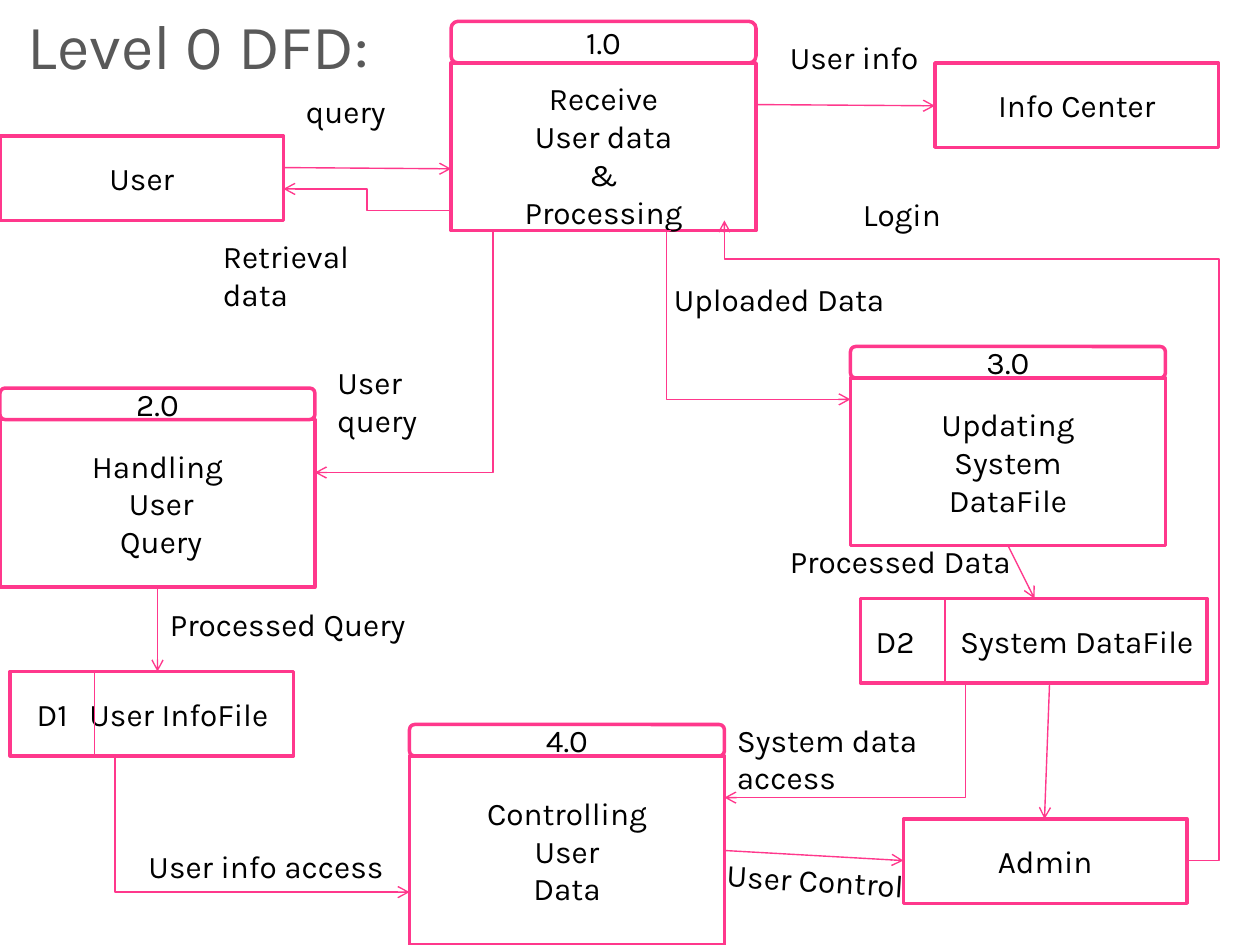
from lxml import etree
from pptx import Presentation
from pptx.dml.color import RGBColor
from pptx.enum.shapes import MSO_CONNECTOR as Link, MSO_SHAPE as Preset
from pptx.enum.text import MSO_ANCHOR as Anchor, MSO_AUTO_SIZE as AutoSize, PP_ALIGN as Align
from pptx.oxml.ns import qn
from pptx.util import Inches, Pt

PINK, WHITE, BLACK, GREY = "FF388C", "FFFFFF", "000000", "595959"
FONT = "Karla"
HALF = (0.5,)


def color(value):
    return RGBColor.from_string(value)


def write(shape, text, size=18, ink=BLACK, align=Align.LEFT, anchor=Anchor.TOP,
          insets=(0.1, 0.05, 0.1, 0.05)):
    """Fill a shape with text, one paragraph per line."""
    frame = shape.text_frame
    frame.auto_size = AutoSize.NONE
    frame.word_wrap = True
    frame.vertical_anchor = anchor
    (frame.margin_left, frame.margin_top,
     frame.margin_right, frame.margin_bottom) = map(Inches, insets)
    frame.text = text
    for paragraph in frame.paragraphs:
        paragraph.alignment = align
        for run in paragraph.runs:
            run.font.name = FONT
            run.font.size = Pt(size)
            run.font.bold = False
            run.font.color.rgb = color(ink)


def box(slide, place, text, preset=Preset.RECTANGLE, align=Align.CENTER,
        insets=(0.1, 0, 0.1, 0)):
    outlined = slide.shapes.add_shape(preset, *map(Inches, place))
    outlined.shadow.inherit = False
    outlined.fill.solid()
    outlined.fill.fore_color.rgb = color(WHITE)
    outlined.line.color.rgb = color(PINK)
    outlined.line.width = Pt(2)
    write(outlined, text, align=align, anchor=Anchor.MIDDLE, insets=insets)
    return outlined


def process(slide, number, text, left, top, width, header, body, text_top=0):
    """A process is a body under a rounded header with its number."""
    box(slide, (left, top + header, width, body), text, insets=(0.1, text_top, 0.1, 0))
    box(slide, (left, top, width, header), number, Preset.ROUNDED_RECTANGLE)


def flow(slide, start, end, bends=(), arrow=True):
    """A straight line, or an elbow whose bends are fractions of its extent."""
    kind = Link.ELBOW if bends else Link.STRAIGHT
    line = slide.shapes.add_connector(kind, *map(Inches, start + end))
    line.line.color.rgb = color(PINK)
    line.line.width = Pt(0.79)
    properties = line._element.spPr
    if bends:
        geometry = properties.find(qn("a:prstGeom"))
        geometry.set("prst", f"bentConnector{len(bends) + 2}")
        guides = geometry.find(qn("a:avLst"))
        if guides is None:
            guides = etree.SubElement(geometry, qn("a:avLst"))
        for index, bend in enumerate(bends, 1):
            etree.SubElement(guides, qn("a:gd"), name=f"adj{index}",
                             fmla=f"val {round(bend * 100000)}")
    if arrow:
        etree.SubElement(properties.find(qn("a:ln")), qn("a:tailEnd"), type="arrow")
    etree.SubElement(properties, qn("a:effectLst"))


def data_store(slide, place, code, name, divider, code_inset, name_tab):
    """A data store holds its code left of a divider and its name at a tab stop."""
    left, top, width, height = place
    store = box(slide, place, f"{code}\t{name}", align=Align.LEFT,
                insets=(code_inset, 0, 0, 0))
    settings = store.text_frame.paragraphs[0]._p.get_or_add_pPr()
    stops = etree.SubElement(settings, qn("a:tabLst"))
    etree.SubElement(stops, qn("a:tab"), pos=str(Inches(name_tab)), algn="l")
    flow(slide, (divider, top), (divider, top + height), arrow=False)


def label(slide, text, left, top, width, height=0.4, rotation=0):
    caption = slide.shapes.add_textbox(*map(Inches, (left, top, width, height)))
    caption.rotation = rotation
    write(caption, text)


def main():
    deck = Presentation()
    deck.slide_width, deck.slide_height = Inches(10), Inches(7.5)
    slide = deck.slides.add_slide(deck.slide_layouts[5])

    # Title
    title = slide.shapes.title
    title.left, title.top, title.width, title.height = map(Inches, (0, 0, 3.33, 0.71))
    write(title, "Level 0 DFD:", size=36, ink=GREY, insets=(0.22, 0.05, 0.1, 0.05))

    # Processes
    process(slide, "1.0", "Receive\nUser data\n&\nProcessing",
            3.58, 0.17, 2.42, 0.33, 1.33, text_top=0.13)
    for number, text, left, top, body in (
            ("2.0", "Handling\n User\n Query", 0, 3.08, 1.33),
            ("3.0", "Updating\nSystem\nDataFile", 6.75, 2.75, 1.33),
            ("4.0", "Controlling\nUser\nData", 3.25, 5.75, 1.5)):
        process(slide, number, text, left, top, 2.5, 0.25, body)

    # External entities
    for name, left, top in (("User", 0, 1.08), ("Admin", 7.17, 6.5),
                            ("Info Center", 7.42, 0.5)):
        box(slide, (left, top, 2.25, 0.67), name)

    # Data stores
    data_store(slide, (0.08, 5.33, 2.25, 0.67), "D1", "User InfoFile", 0.75, 0.21, 0.42)
    data_store(slide, (6.83, 4.75, 2.75, 0.67), "D2", "System DataFile", 7.5, 0.12, 0.67)

    # Data flows
    for route in (
            ((2.25, 1.33), (3.58, 1.34)),
            ((3.58, 1.67), (2.25, 1.5), HALF),
            ((6, 0.83), (7.42, 0.84)),
            ((9.58, 5.42), (5.75, 6.33), HALF),
            ((3.83, 1.83), (6.75, 3.17), HALF),
            ((5.75, 6.75), (7.17, 6.83)),
            ((0.33, 6), (3.25, 7.08), (0.2,)),
            ((5.33, 1.83), (2.5, 3.75), HALF),
            ((1.25, 4.67), (1.25, 5.33)),
            ((8.33, 5.42), (8.29, 6.5)),
            ((8, 4.33), (8.21, 4.75)),
            ((9.42, 6.83), (5.75, 1.75), (-0.07, 0.94))):
        flow(slide, *route)

    # Flow labels
    for caption in (
            ("query", 2.33, 0.68, 1.08),
            ("Retrieval data", 1.67, 1.83, 1.67, 0.71),
            ("User info", 6.17, 0.25, 1.25),
            ("User query", 2.58, 2.83, 1.33, 0.71),
            ("Uploaded Data", 5.25, 2.17, 2.5),
            ("Login", 6.75, 1.5, 1.67),
            ("User Control", 5.67, 6.79, 1.83, 0.4, 3.5),
            ("Processed Data", 6.17, 4.25, 2.33),
            ("Processed Query", 1.25, 4.75, 2.17),
            ("User info access", 1.08, 6.67, 2.42),
            ("System data access", 5.75, 5.67, 2.25, 0.71)):
        label(slide, *caption)

    deck.save("out.pptx")


main()
